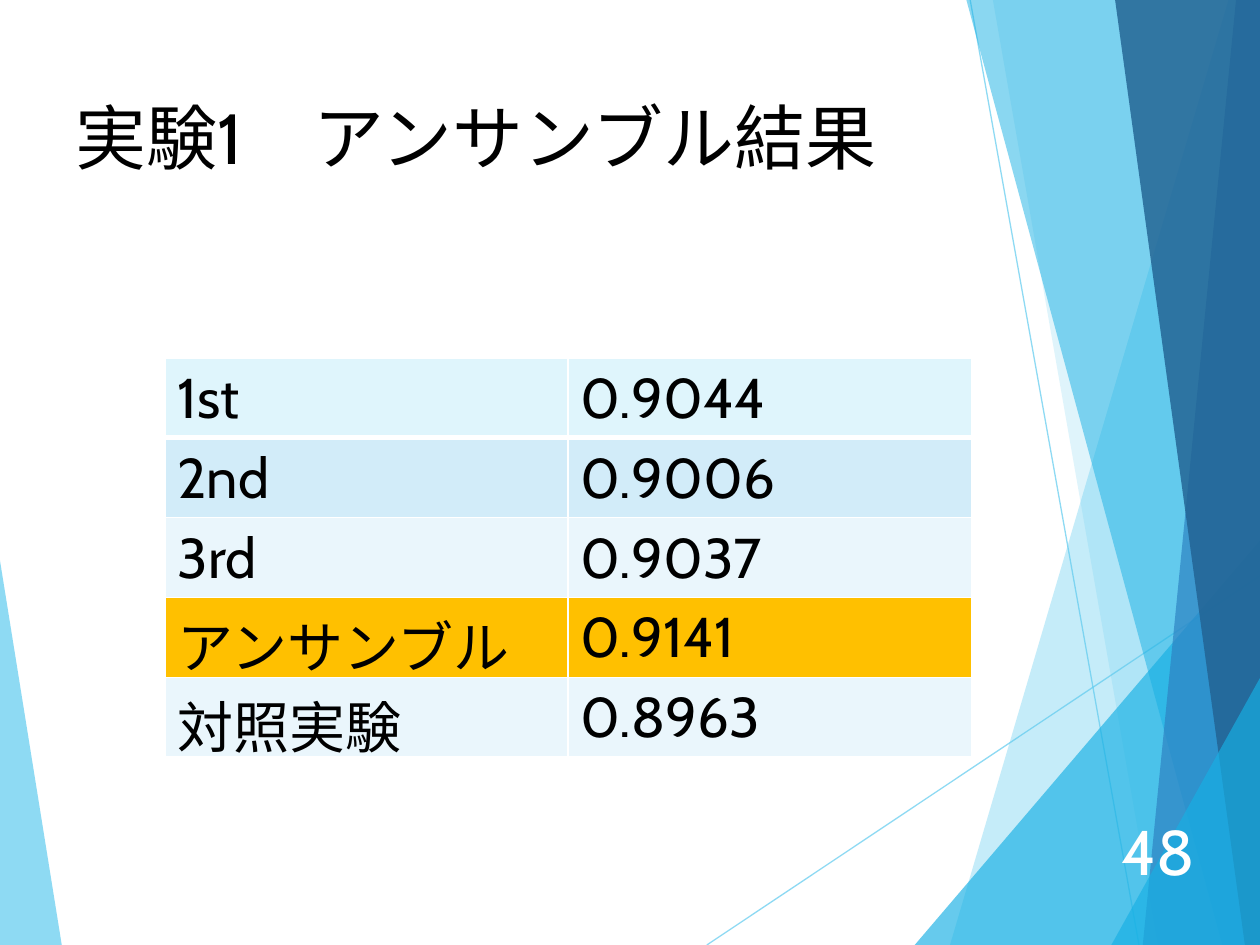
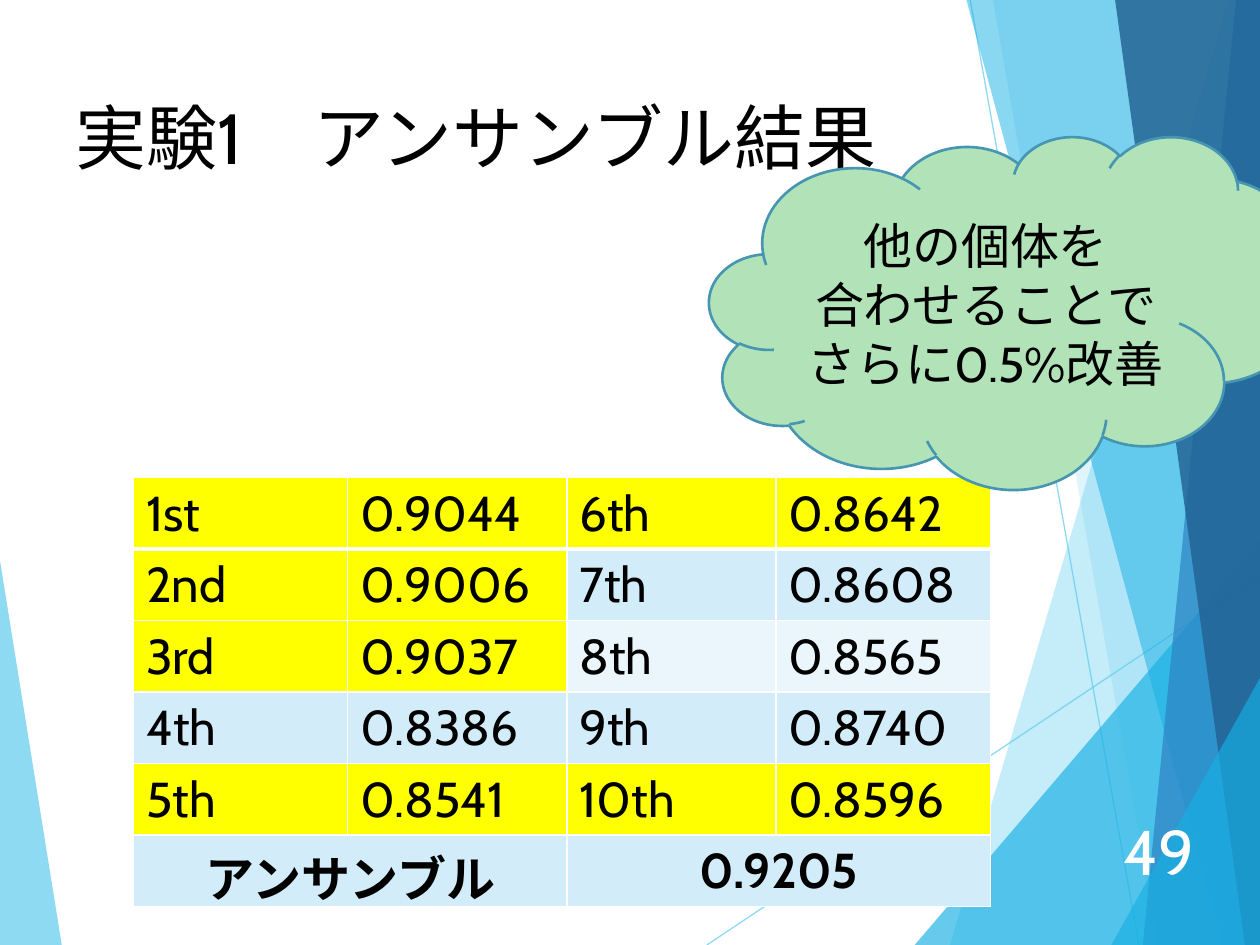
from lxml import etree
from pptx import Presentation
from pptx import util as u
from pptx.dml.color import RGBColor
from pptx.enum import shapes, text
from pptx.oxml.ns import qn

WHITE = RGBColor(0xFF, 0xFF, 0xFF)
BLACK = RGBColor(0x00, 0x00, 0x00)
SKY = RGBColor(0x5F, 0xCB, 0xEF)
CYAN = RGBColor(0x17, 0xB0, 0xE4)
BLUE = RGBColor(0x2E, 0x83, 0xC3)
NAVY = RGBColor(0x22, 0x62, 0x92)
FIRST_ROW = RGBColor(0xDF, 0xF5, 0xFC)
ODD_ROW = RGBColor(0xD2, 0xEC, 0xF9)
EVEN_ROW = RGBColor(0xEA, 0xF6, 0xFC)
ORANGE = RGBColor(0xFF, 0xC0, 0x00)
YELLOW = RGBColor(0xFF, 0xFF, 0x00)
CLOUD_GREEN = RGBColor(0xB1, 0xE2, 0xB8)
CLOUD_EDGE = RGBColor(0x46, 0x96, 0xB1)

FONT = "Cabin"
TITLE = "実験1\u3000アンサンブル結果".replace("\u3000", "　")
WIDTH, HEIGHT = 10, 7.5
TITLE_BOX = (0.5, 0.69, 6.98, 0.78)
NUMBER_BOX = (8.74, 6.48, 0.84, 0.53)

# Corner points, colour and opacity in percent, from back to front
LEFT_WEDGE = ([(0, 4.45), (0.49, 7.5), (0, 7.5)], SKY, 70)
RIGHT_SHARDS = [
    ([(9.75, 0), (7.54, 7.5), (10, 7.5), (10, 0)], SKY, 36),
    ([(7.88, 0), (9.19, 7.5), (10, 7.5), (10, 0)], SKY, 20),
    ([(7.26, 7.5), (10, 4.29), (10, 7.5)], CYAN, 66),
    ([(7.67, 0), (9.7, 7.5), (10, 7.5), (10, 0)], CYAN, 50),
    ([(9.81, 0), (9.07, 7.5), (10, 7.5), (10, 0)], BLUE, 70),
    ([(8.85, 0), (9.88, 7.5), (10, 7.5), (10, 0)], NAVY, 82),
    ([(8.82, 7.5), (10, 5.38), (10, 7.5)], CYAN, 66),
]
THIN_LINES = [((5.61, 7.5), (10, 4.57)), ((7.7, 0), (9.04, 7.5))]


def inches(values):
    return [u.Inches(value) for value in values]


def set_opacity(shape, percent):
    for colour in shape.element.spPr.iter(qn("a:srgbClr")):
        etree.SubElement(colour, qn("a:alpha"), val=str(percent * 1000))


def write(frame, lines, align=text.PP_ALIGN.LEFT, **font_format):
    """Write one paragraph per line; font_format holds size, bold and color."""
    colour = font_format.pop("color", BLACK)
    for index, line in enumerate(lines):
        para = frame.paragraphs[0] if index == 0 else frame.add_paragraph()
        para.alignment = align
        span = para.add_run()
        span.text = line
        for name, value in {"name": FONT, **font_format}.items():
            setattr(span.font, name, value)
        span.font.color.rgb = colour


def add_shard(page, points, colour, opacity):
    start, *rest = [inches(point) for point in points]
    builder = page.shapes.build_freeform(*start)
    builder.add_line_segments(rest, close=True)
    shard = builder.convert_to_shape()
    shard.shadow.inherit = False
    shard.fill.solid()
    shard.fill.fore_color.rgb = colour
    shard.line.fill.background()
    set_opacity(shard, opacity)


def add_thin_line(page, start, end):
    line = page.shapes.add_connector(
        shapes.MSO_CONNECTOR.STRAIGHT, *inches(start + end))
    line.line.color.rgb = SKY
    line.line.width = u.Pt(0.75)
    set_opacity(line, 70)
    etree.SubElement(line.element.spPr, qn("a:effectLst"))


def add_text(page, box, line, anchor, align, **font_format):
    frame = page.shapes.add_textbox(*inches(box)).text_frame
    frame.word_wrap = True
    frame.vertical_anchor = anchor
    write(frame, [line], align, **font_format)


def add_page(deck, number):
    """Add a slide with the background shards, the title and its number."""
    page = deck.slides.add_slide(deck.slide_layouts[6])
    add_shard(page, *LEFT_WEDGE)
    for start, end in THIN_LINES:
        add_thin_line(page, start, end)
    for shard in RIGHT_SHARDS:
        add_shard(page, *shard)
    add_text(page, NUMBER_BOX, str(number), text.MSO_ANCHOR.MIDDLE,
             text.PP_ALIGN.RIGHT, size=u.Pt(36), color=WHITE)
    add_text(page, TITLE_BOX, TITLE, text.MSO_ANCHOR.TOP,
             text.PP_ALIGN.LEFT, size=u.Pt(40.5))
    return page


def set_borders(cell, row):
    """Draw white borders, with a heavy rule under the first row."""
    widths = {"lnL": 1, "lnR": 1,
              "lnT": 3 if row == 1 else 1, "lnB": 3 if row == 0 else 1}
    properties = cell._tc.get_or_add_tcPr()
    for index, (side, width) in enumerate(widths.items()):
        border = etree.Element(qn(f"a:{side}"), w=str(u.Pt(width)))
        fill = etree.SubElement(border, qn("a:solidFill"))
        etree.SubElement(fill, qn("a:srgbClr"), val=str(WHITE))
        properties.insert(index, border)


def row_colour(row):
    if row == 0:
        return FIRST_ROW
    return ODD_ROW if row % 2 else EVEN_ROW


def add_results(page, box, columns, rows, size, highlights, accent):
    """Fill a table; a row of fewer values than columns merges cells evenly."""
    frame = page.shapes.add_table(len(rows), len(columns), *inches(box))
    table = frame.table
    table.first_row = table.horz_banding = False
    for column, width in zip(table.columns, columns):
        column.width = u.Inches(width)
    for row, values in enumerate(rows):
        table.rows[row].height = u.Inches(box[3] / len(rows))
        for column in range(len(columns)):
            cell = table.cell(row, column)
            cell.fill.solid()
            cell.fill.fore_color.rgb = (
                accent if (row, column) in highlights else row_colour(row))
            set_borders(cell, row)
        reach = len(columns) // len(values)
        for index, value in enumerate(values):
            cell = table.cell(row, index * reach)
            merged = reach > 1
            if merged:
                cell.merge(table.cell(row, (index + 1) * reach - 1))
            align = text.PP_ALIGN.CENTER if merged else text.PP_ALIGN.LEFT
            write(cell.text_frame, [value], align, size=u.Pt(size), bold=merged)


def add_cloud(page, box, lines):
    cloud = page.shapes.add_shape(shapes.MSO_SHAPE.CLOUD, *inches(box))
    cloud.shadow.inherit = False
    cloud.fill.solid()
    cloud.fill.fore_color.rgb = CLOUD_GREEN
    cloud.line.color.rgb = CLOUD_EDGE
    cloud.line.width = u.Pt(1.5)
    frame = cloud.text_frame
    frame.word_wrap = True
    frame.vertical_anchor = text.MSO_ANCHOR.MIDDLE
    write(frame, lines, text.PP_ALIGN.CENTER, size=u.Pt(28))


def build_top_three(deck):
    page = add_page(deck, 48)
    rows = [
        ("1st", "0.9044"),
        ("2nd", "0.9006"),
        ("3rd", "0.9037"),
        ("アンサンブル", "0.9141"),
        ("対照実験", "0.8963"),
    ]
    add_results(page, (1.31, 2.84, 6.4, 3.17), (3.2, 3.2), rows, 32,
                {(3, 0), (3, 1)}, ORANGE)


def build_top_ten(deck):
    page = add_page(deck, 49)
    rows = [
        ("1st", "0.9044", "6th", "0.8642"),
        ("2nd", "0.9006", "7th", "0.8608"),
        ("3rd", "0.9037", "8th", "0.8565"),
        ("4th", "0.8386", "9th", "0.8740"),
        ("5th", "0.8541", "10th", "0.8596"),
        ("アンサンブル", "0.9205"),
    ]
    chosen = {(row, column) for row in (0, 1, 2, 4) for column in (0, 1)}
    chosen |= {(row, column) for row in (0, 4) for column in (2, 3)}
    add_results(page, (1.06, 3.79, 6.8, 3.4), (1.7, 1.74, 1.66, 1.7), rows, 28,
                chosen, YELLOW)
    add_cloud(page, (5.63, 1.08, 4.72, 2.8),
              ["他の個体を", "合わせることで", "さらに0.5%改善"])


def main():
    deck = Presentation()
    deck.slide_width, deck.slide_height = inches((WIDTH, HEIGHT))
    build_top_three(deck)
    build_top_ten(deck)
    deck.save("out.pptx")


if __name__ == "__main__":
    main()
